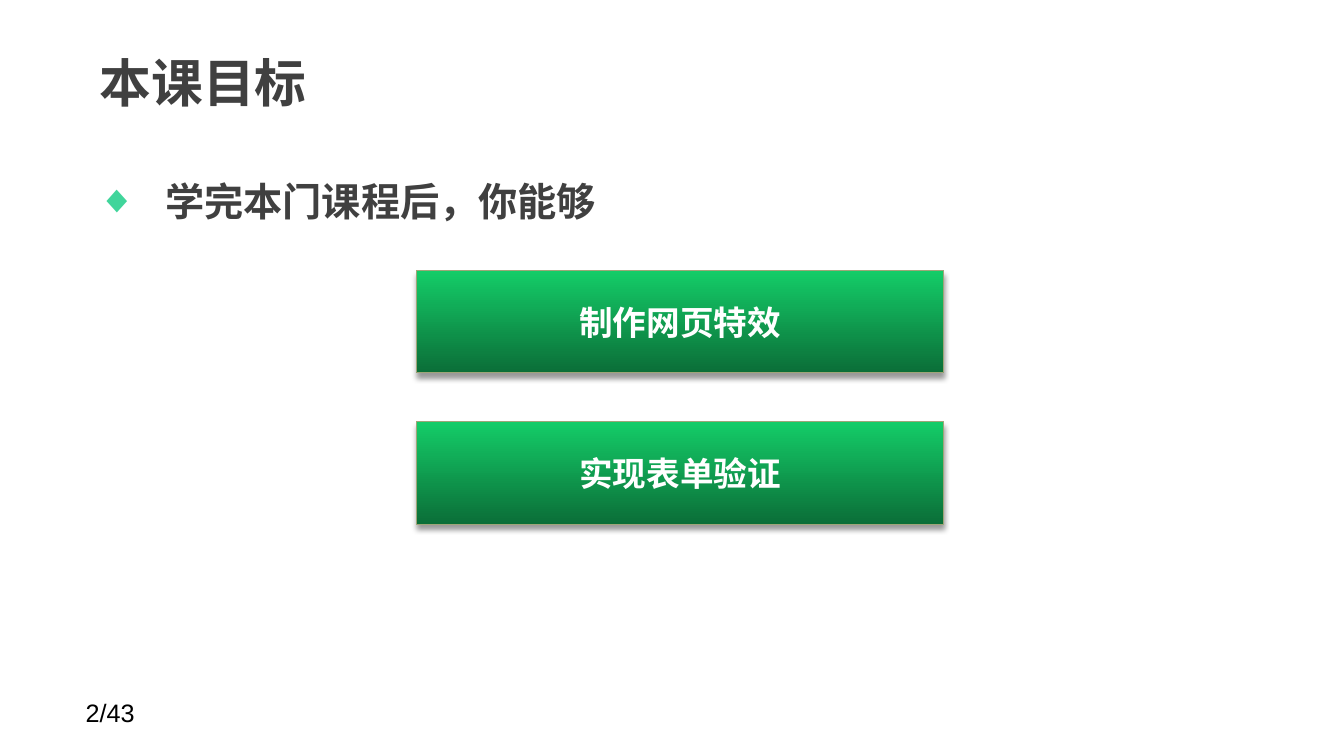
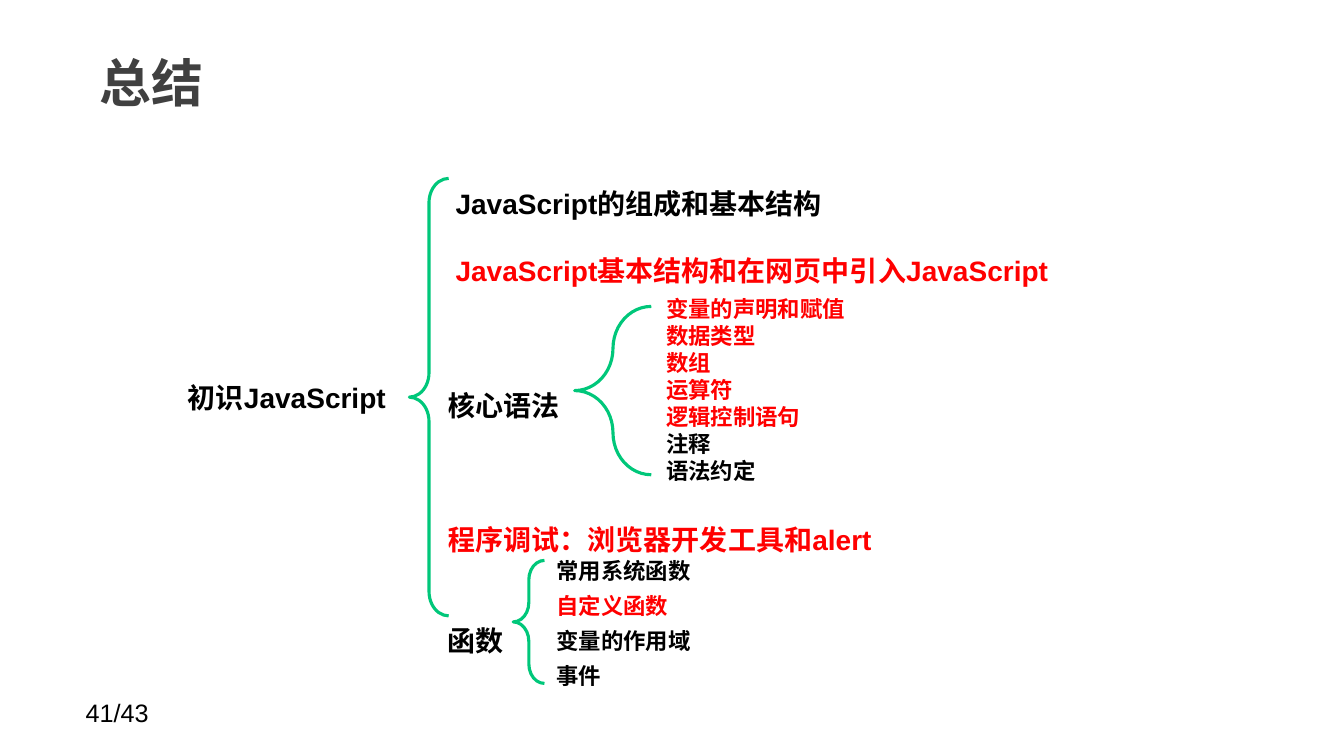
"""Build the goal and summary slides of a JavaScript course."""
import pptx
import pptx.util
import pptx.dml.color
import pptx.enum.shapes
import pptx.enum.text
import pptx.oxml
import pptx.oxml.ns

PX = 9144
PAGES = 43
FONT = "Arial"
HAN = "Noto Sans CJK SC"
HUES = {
    "ink": "404040",
    "black": "000000",
    "red": "FF0000",
    "white": "FFFFFF",
    "mark": "40D59B",
    "brace": "00C77A",
    "light": "14CD68",
    "dark": "0B6E38",
    "edge": "9FA578",
}
ALIGN = pptx.enum.text.PP_ALIGN
ANCHOR = pptx.enum.text.MSO_ANCHOR
SHAPES = pptx.enum.shapes.MSO_SHAPE
Pt = pptx.util.Pt


def px(*sizes):
    return [pptx.util.Emu(size * PX) for size in sizes]


def hue(name):
    return pptx.dml.color.RGBColor.from_string(HUES[name])


def node(tag, inner="", **attrs):
    space = pptx.oxml.ns.nsdecls("a")
    pairs = "".join(f' {key}="{value}"' for key, value in attrs.items())
    return pptx.oxml.parse_xml(f"<a:{tag} {space}{pairs}>{inner}</a:{tag}>")


def style(para, size, color, bold=True, font=FONT, align=ALIGN.LEFT):
    para.alignment = align
    for run in para.runs:
        run.font.size = Pt(size)
        run.font.bold = bold
        run.font.name = font
        run.font.color.rgb = hue(color)
        run._r.get_or_add_rPr().append(node("ea", typeface=HAN))


def place(holder, box, text, anchor):
    holder.left, holder.top, holder.width, holder.height = px(*box)
    frame = holder.text_frame
    frame.text = text
    frame.auto_size = pptx.enum.text.MSO_AUTO_SIZE.NONE
    frame.vertical_anchor = anchor
    frame.margin_left, frame.margin_right = px(13, 13)
    frame.margin_top, frame.margin_bottom = px(6, 6)
    return frame.paragraphs[0]


def text_box(slide, box, rows, size, lead=None, bold=True, align=ALIGN.LEFT):
    frame = slide.shapes.add_textbox(*px(*box)).text_frame
    frame.word_wrap = True
    frame.text = "\n".join(row[0] for row in rows)
    for para, (_, color, *gap) in zip(frame.paragraphs, rows):
        style(para, size, color, bold, align=align)
        if lead:
            para.line_spacing = Pt(lead)
        if gap:
            para.space_before = Pt(gap[0])
    return frame.paragraphs


def base(deck, layout, title, page):
    slide = deck.slides.add_slide(deck.slide_layouts[layout])
    para = place(slide.shapes.title, (86, 30, 1041, 103), title, ANCHOR.MIDDLE)
    style(para, 37, "ink", font=HAN)
    text_box(slide, (75, 687, 233, 40), [(f"{page}/{PAGES}", "black")], 18, bold=False)
    return slide


def bullet(slide, text):
    para = place(slide.placeholders[1], (84, 143, 1169, 527), text, ANCHOR.TOP)
    para.line_spacing = Pt(53)
    para.space_before = Pt(0)
    props = para._p.get_or_add_pPr()
    props.set("marL", str(67 * PX))
    props.set("indent", str(-67 * PX))
    props.append(node("buClr", f'<a:srgbClr val="{HUES["mark"]}"/>'))
    props.append(node("buFont", typeface=FONT))
    props.append(node("buChar", char="◆"))
    style(para, 28, "ink", font=HAN)


def button(slide, box, text):
    shape = slide.shapes.add_shape(SHAPES.RECTANGLE, *px(*box))
    shape.fill.gradient()
    shape.fill.gradient_angle = 270
    for stop, name in zip(shape.fill.gradient_stops, ("light", "dark")):
        stop.color.rgb = hue(name)
    shape.line.color.rgb = hue("edge")
    shape.line.width = Pt(0.75)
    shape.shadow.inherit = False
    shade = node(
        "outerShdw",
        f'<a:srgbClr val="{HUES["black"]}"><a:alpha val="40000"/></a:srgbClr>',
        blurRad=Pt(4), dist=Pt(3), dir=90 * 60000, rotWithShape=0,
    )
    shape._element.spPr.find(pptx.oxml.ns.qn("a:effectLst")).append(shade)
    frame = shape.text_frame
    frame.text = text
    frame.vertical_anchor = ANCHOR.MIDDLE
    style(frame.paragraphs[0], 24, "white", align=ALIGN.CENTER)


def brace(slide, box, fill=None):
    shape = slide.shapes.add_shape(SHAPES.LEFT_BRACE, *px(*box))
    shape.adjustments[0] = 0.62
    shape.adjustments[1] = 0.5
    shape.shadow.inherit = False
    if fill:
        shape.fill.solid()
        shape.fill.fore_color.rgb = hue(fill)
    else:
        shape.fill.background()
    shape.line.color.rgb = hue("brace")
    shape.line.width = Pt(2.25)


def goals(deck):
    slide = base(deck, 1, "本课目标", 2)
    bullet(slide, "学完本门课程后，你能够")
    for rank, text in enumerate(("制作网页特效", "实现表单验证")):
        button(slide, (413, 268 + 150 * rank, 523, 102), text)


def summary(deck):
    slide = base(deck, 5, "总结", 41)
    topics = text_box(slide, (434, 147, 689, 515), [
        ("JavaScript的组成和基本结构", "black"),
        ("JavaScript基本结构和在网页中引入JavaScript", "red"),
        ("核心语法", "black", 48),
        ("程序调试：浏览器开发工具和alert", "red", 48),
        ("函数", "black"),
    ], 20, 48)
    for para in topics[:2]:
        para._p.get_or_add_pPr().set("marL", str(8 * PX))
    topics[-1].line_spacing = Pt(72)
    brace(slide, (570, 304, 76, 167))
    text_box(slide, (651, 288, 255, 199), [
        ("变量的声明和赋值", "red"),
        ("数据类型", "red"),
        ("数组", "red"),
        ("运算符", "red"),
        ("逻辑控制语句", "red"),
        ("注释", "black"),
        ("语法约定", "black"),
    ], 16, 19.3)
    text_box(slide, (542, 540, 222, 147), [
        ("常用系统函数", "black"),
        ("自定义函数", "red"),
        ("变量的作用域", "black"),
        ("事件", "black"),
    ], 16, 25)
    brace(slide, (509, 556, 31, 122))
    text_box(slide, (167, 373, 235, 44), [("初识JavaScript", "black")], 20, 24,
             align=ALIGN.CENTER)
    brace(slide, (406, 177, 39, 434), "white")


def main():
    deck = pptx.Presentation()
    deck.slide_width, deck.slide_height = px(1333, 750)
    goals(deck)
    summary(deck)
    deck.save("out.pptx")


if __name__ == "__main__":
    main()
